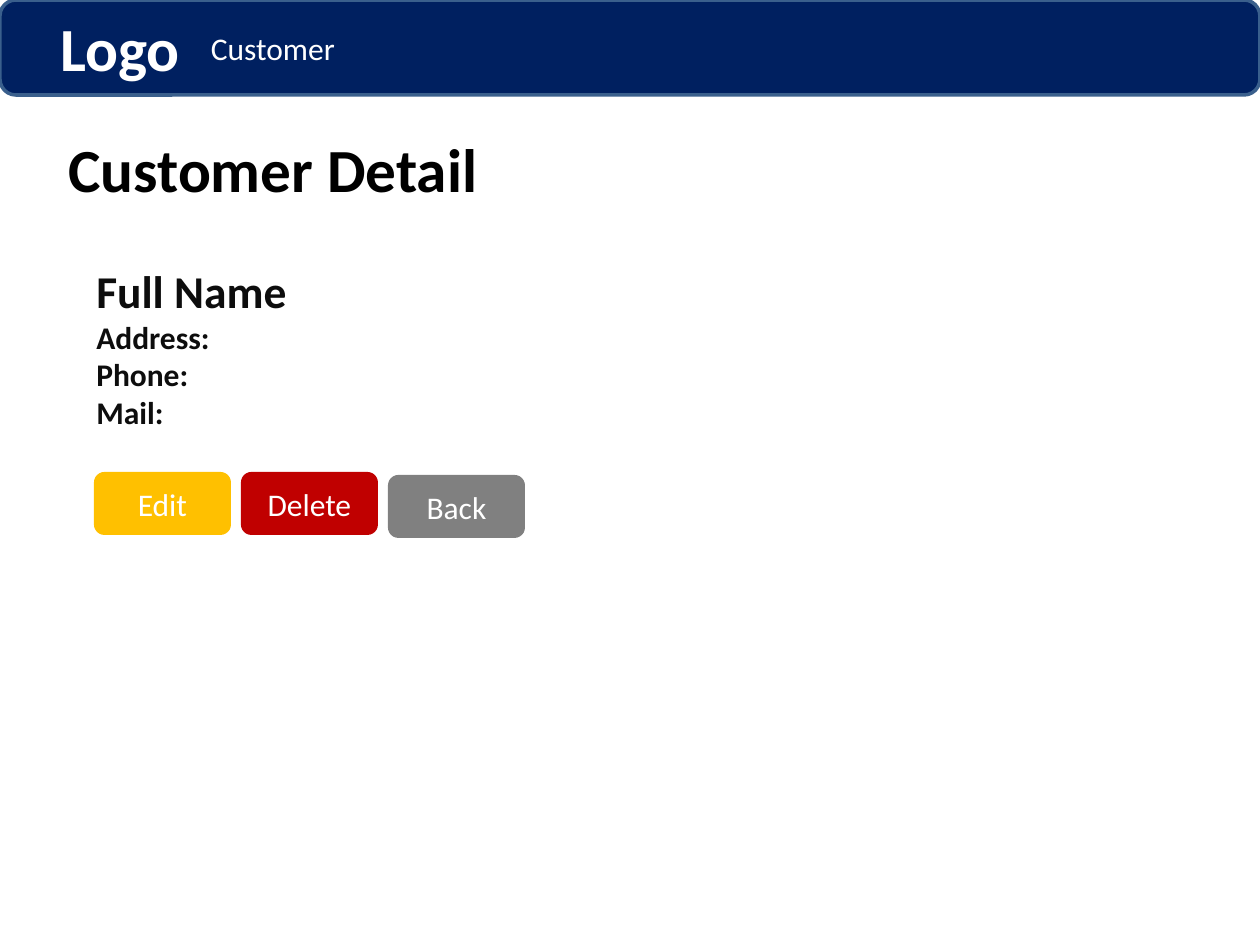
from dataclasses import dataclass

from pptx import Presentation
from pptx import util as u
from pptx.dml.color import RGBColor
from pptx.enum import shapes, text


@dataclass(frozen=True)
class Theme:
    font: str = "Calibri"
    navy: str = "002060"
    navy_edge: str = "3A5F8C"
    white: str = "FFFFFF"
    black: str = "000000"
    ink: str = "0D0D0D"
    amber: str = "FFC000"
    red: str = "C00000"
    gray: str = "808080"
    heading: int = 35
    name: int = 26
    body: int = 18


THEME = Theme()
PX_PER_INCH = 126


def px(length):
    return u.Emu(round(length * 914400 / PX_PER_INCH))


def add_run(paragraph, wording, size, color, bold=False):
    run = paragraph.add_run()
    run.text = wording
    run.font.name = THEME.font
    run.font.size = u.Pt(size)
    run.font.bold = bold
    run.font.color.rgb = RGBColor.from_string(color)


def add_panel(slide, box, fill=None, edge=None):
    """Add a rounded rectangle; no fill or edge leaves that part clear."""
    panel = slide.shapes.add_shape(
        shapes.MSO_SHAPE.ROUNDED_RECTANGLE, *map(px, box))
    panel.shadow.inherit = False
    if fill:
        panel.fill.solid()
        panel.fill.fore_color.rgb = RGBColor.from_string(fill)
    else:
        panel.fill.background()
    if edge:
        panel.line.color.rgb = RGBColor.from_string(edge)
        panel.line.width = u.Pt(2)
    else:
        panel.line.fill.background()
    return panel


def add_label(slide, box, wording, size, color, bold=False, fill=None):
    frame = add_panel(slide, box, fill).text_frame
    frame.word_wrap = True
    frame.vertical_anchor = text.MSO_ANCHOR.MIDDLE
    paragraph = frame.paragraphs[0]
    paragraph.alignment = text.PP_ALIGN.CENTER
    add_run(paragraph, wording, size, color, bold)


def add_header(slide):
    height = 95
    add_panel(slide, (0, 0, 1260, height), THEME.navy, THEME.navy_edge)
    add_label(slide, (10, 0, 220, height), "Logo", THEME.heading, THEME.white, bold=True)
    add_label(slide, (147, 0, 252, height), "Customer", THEME.body, THEME.white)


def add_details(slide, box):
    frame = slide.shapes.add_textbox(*map(px, box)).text_frame
    frame.word_wrap = True
    frame.vertical_anchor = text.MSO_ANCHOR.MIDDLE
    add_run(frame.paragraphs[0], "Full Name", THEME.name, THEME.ink, bold=True)
    for field in ("Address:", "Phone:", "Mail:"):
        add_run(frame.add_paragraph(), field, THEME.body, THEME.ink, bold=True)


def add_buttons(slide):
    left, width, height, gap = 94, 137, 63, 10
    buttons = (("Edit", THEME.amber, 472),
               ("Delete", THEME.red, 472),
               ("Back", THEME.gray, 475))
    for column, (action, fill, top) in enumerate(buttons):
        box = (left + column * (width + gap), top, width, height)
        add_label(slide, box, action, THEME.body, THEME.white, fill=fill)


def main():
    deck = Presentation()
    deck.slide_width, deck.slide_height = u.Inches(10), u.Inches(7.5)
    slide = deck.slides.add_slide(deck.slide_layouts[6])
    add_header(slide)
    add_label(slide, (42, 105, 462, 126), "Customer Detail",
              THEME.heading, THEME.black, bold=True)
    add_details(slide, (84, 242, 1061, 210))
    add_buttons(slide)
    deck.save("out.pptx")


if __name__ == "__main__":
    main()
